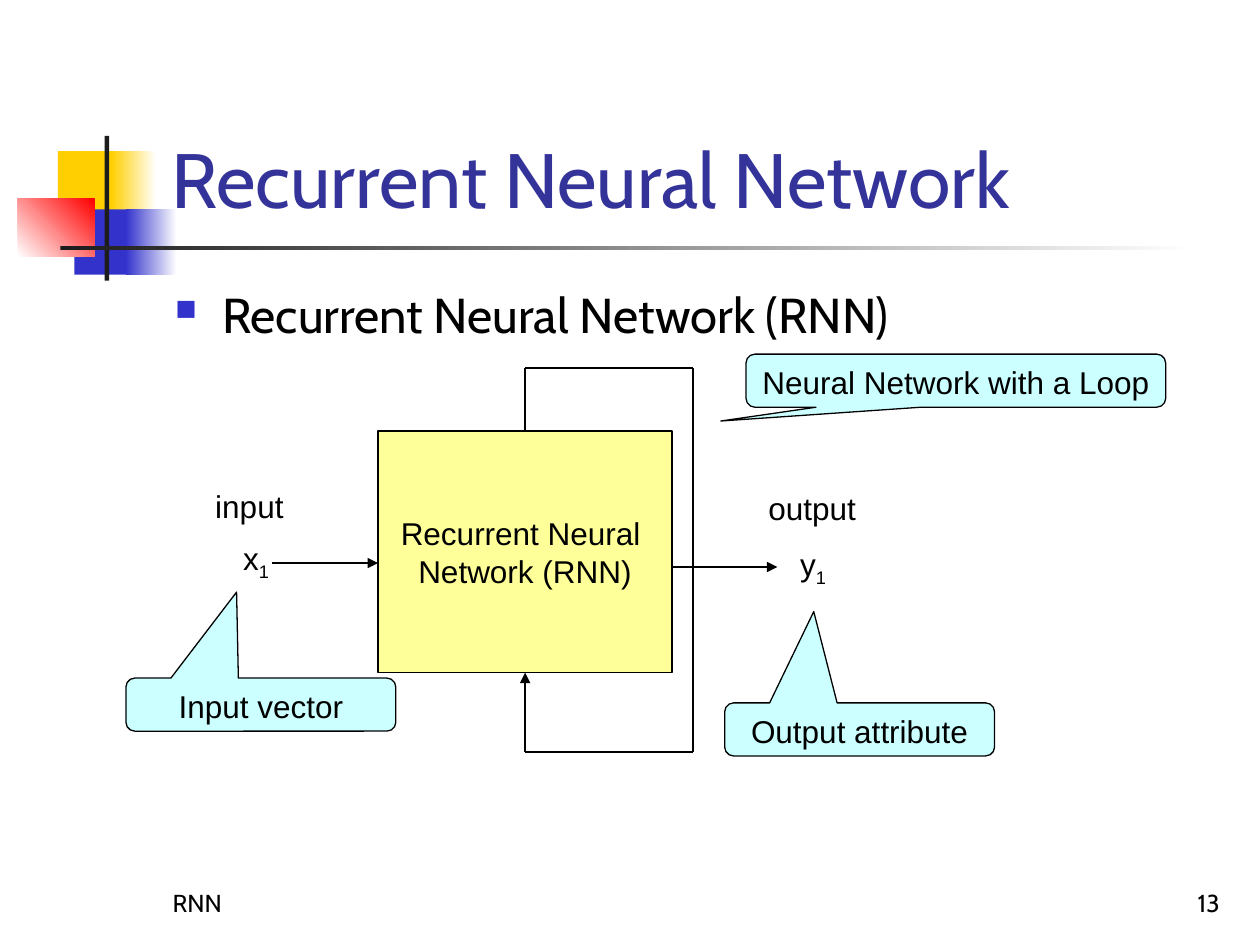
from dataclasses import dataclass
from typing import Optional

from lxml import etree
from pptx import Presentation
from pptx.dml.color import RGBColor
from pptx.enum.shapes import MSO_CONNECTOR, MSO_SHAPE
from pptx.enum.text import MSO_ANCHOR, MSO_AUTO_SIZE, PP_ALIGN
from pptx.oxml.ns import qn
from pptx.util import Cm, Pt

RECTANGLE = MSO_SHAPE.RECTANGLE
CALLOUT = MSO_SHAPE.ROUNDED_RECTANGULAR_CALLOUT
STRAIGHT = MSO_CONNECTOR.STRAIGHT
TOP, MIDDLE, BOTTOM = MSO_ANCHOR.TOP, MSO_ANCHOR.MIDDLE, MSO_ANCHOR.BOTTOM
LEFT, CENTER, RIGHT = PP_ALIGN.LEFT, PP_ALIGN.CENTER, PP_ALIGN.RIGHT
FIT_SHAPE, NO_FIT = MSO_AUTO_SIZE.SHAPE_TO_FIT_TEXT, MSO_AUTO_SIZE.NONE

BLACK = RGBColor(0x00, 0x00, 0x00)
WHITE = RGBColor(0xFF, 0xFF, 0xFF)
CHARCOAL = RGBColor(0x1C, 0x1C, 0x1C)
GOLD = RGBColor(0xFF, 0xCF, 0x01)
BLUE = RGBColor(0x33, 0x33, 0xCC)
RED = RGBColor(0xFF, 0x00, 0x00)
TITLE_BLUE = RGBColor(0x33, 0x33, 0x99)
PALE_YELLOW = RGBColor(0xFF, 0xFF, 0x99)
PALE_CYAN = RGBColor(0xCC, 0xFF, 0xFF)

THEME_FONT, DIAGRAM_FONT = "Cabin", "Arial"
LINE_WIDTH = Pt(0.75)


@dataclass(frozen=True)
class Area:
    """Place and size in centimetres."""
    left: float
    top: float
    width: float
    height: float

    def lengths(self) -> tuple:
        return Cm(self.left), Cm(self.top), Cm(self.width), Cm(self.height)


@dataclass(frozen=True)
class Ornament:
    area: Area
    start: RGBColor
    end: Optional[RGBColor] = None
    angle: int = 0


@dataclass(frozen=True)
class TextStyle:
    size: int = 18
    font: str = DIAGRAM_FONT
    color: RGBColor = BLACK
    align: PP_ALIGN = LEFT
    anchor: MSO_ANCHOR = TOP
    wrap: bool = True
    fit: MSO_AUTO_SIZE = NO_FIT


@dataclass(frozen=True)
class Label:
    text: str
    area: Area
    style: TextStyle
    subscript: str = ""
    bullet: bool = False


@dataclass(frozen=True)
class Callout:
    text: str
    area: Area
    tip: tuple


TITLE = TextStyle(44, THEME_FONT, TITLE_BLUE, anchor=BOTTOM)
BODY = TextStyle(28, THEME_FONT)
FOOTER = TextStyle(14, THEME_FONT, anchor=BOTTOM)
PAGE_NUMBER = TextStyle(14, THEME_FONT, align=RIGHT, anchor=BOTTOM)
SIGNAL = TextStyle(wrap=False, fit=FIT_SHAPE)
NETWORK = TextStyle(align=CENTER, anchor=MIDDLE, wrap=False)
CALLOUT_TEXT = TextStyle(align=CENTER)

ORNAMENTS = [
    Ornament(Area(1.17, 3.05, 1.22, 1.32), GOLD),
    Ornament(Area(2.24, 3.05, 0.91, 1.32), GOLD, WHITE),
    Ornament(Area(1.5, 4.22, 1.17, 1.32), BLUE),
    Ornament(Area(2.54, 4.22, 1.02, 1.32), BLUE, WHITE),
    Ornament(Area(0.36, 4.01, 1.55, 1.17), WHITE, RED, 45),
    Ornament(Area(2.11, 2.74, 0.09, 2.92), CHARCOAL),
    Ornament(Area(1.22, 4.95, 22.86, 0.09), CHARCOAL, WHITE),
]
LABELS = [
    Label("RNN", Area(3.23, 17.35, 5.28, 1.27), FOOTER),
    Label("13", Area(19.56, 17.35, 5.28, 1.27), PAGE_NUMBER),
    Label("Recurrent Neural Network", Area(3.2, 0.58, 21.64, 4.06), TITLE),
    Label("Recurrent Neural Network (RNN)", Area(3.28, 5.61, 18.72, 11.43), BODY, bullet=True),
    Label("input", Area(4.09, 9.7, 1.88, 1.02), SIGNAL),
    Label("output", Area(15.24, 9.73, 2.29, 1.02), SIGNAL),
    Label("x", Area(4.65, 10.74, 1.07, 1.02), SIGNAL, "1"),
    Label("y", Area(15.88, 10.87, 1.07, 1.02), SIGNAL, "1"),
]
CALLOUTS = [
    Callout("Input vector", Area(2.54, 13.67, 5.44, 1.07), (-0.09, -2.12)),
    Callout("Output attribute", Area(14.61, 14.17, 5.44, 1.07), (-0.17, -2.22)),
    Callout("Neural Network with a Loop", Area(15.04, 7.14, 8.46, 1.07), (-0.56, 0.76)),
]
NETWORK_AREA = Area(7.62, 8.69, 5.93, 4.87)
NETWORK_RIGHT = NETWORK_AREA.left + NETWORK_AREA.width
NETWORK_BOTTOM = NETWORK_AREA.top + NETWORK_AREA.height
SIGNAL_ARROWS = [
    ((5.49, 11.35), (NETWORK_AREA.left, 11.35)),
    ((NETWORK_RIGHT, 11.43), (15.67, 11.43)),
]
LOOP_X, LOOP_RIGHT = NETWORK_AREA.left + NETWORK_AREA.width / 2, 13.97
LOOP_TOP, LOOP_BOTTOM = 7.42, 15.16
LOOP_POINTS = [
    (LOOP_X, NETWORK_AREA.top), (LOOP_X, LOOP_TOP), (LOOP_RIGHT, LOOP_TOP),
    (LOOP_RIGHT, LOOP_BOTTOM), (LOOP_X, LOOP_BOTTOM), (LOOP_X, NETWORK_BOTTOM),
]


def apply_format(target, values: dict) -> None:
    for name, value in values.items():
        setattr(target, name, value)


def add_square_bullet(paragraph) -> None:
    properties = paragraph._p.get_or_add_pPr()
    properties.set("marL", str(Cm(0.95)))
    properties.set("indent", str(Cm(-0.95)))
    color = etree.SubElement(properties, qn("a:buClr"))
    etree.SubElement(color, qn("a:srgbClr"), val=str(BLUE))
    etree.SubElement(properties, qn("a:buSzPct"), val="60000")
    etree.SubElement(properties, qn("a:buChar"), char="■")


def write_text(frame, text: str, style: TextStyle, subscript: str = "", bullet: bool = False) -> None:
    apply_format(frame, {"word_wrap": style.wrap, "auto_size": style.fit,
                         "vertical_anchor": style.anchor})
    paragraph = frame.paragraphs[0]
    paragraph.text = text
    paragraph.alignment = style.align
    if bullet:
        add_square_bullet(paragraph)
    if subscript:
        index = paragraph.add_run()
        index.text = subscript
        index._r.get_or_add_rPr().set("baseline", "-25000")
    for run in paragraph.runs:
        apply_format(run.font, {"size": Pt(style.size), "name": style.font})
        run.font.color.rgb = style.color


def add_label(slide, label: Label) -> None:
    box = slide.shapes.add_textbox(*label.area.lengths())
    write_text(box.text_frame, label.text, label.style, label.subscript, label.bullet)


def add_ornament(slide, ornament: Ornament) -> None:
    shape = slide.shapes.add_shape(RECTANGLE, *ornament.area.lengths())
    shape.shadow.inherit = False
    shape.line.fill.background()
    if ornament.end is None:
        shape.fill.solid()
        shape.fill.fore_color.rgb = ornament.start
        return
    shape.fill.gradient()
    shape.fill.gradient_angle = ornament.angle
    for stop, color in zip(shape.fill.gradient_stops, (ornament.start, ornament.end)):
        stop.color.rgb = color


def add_outlined(slide, preset: MSO_SHAPE, area: Area, fill: RGBColor, text: str, style: TextStyle):
    shape = slide.shapes.add_shape(preset, *area.lengths())
    shape.shadow.inherit = False
    shape.fill.solid()
    shape.fill.fore_color.rgb = fill
    shape.line.color.rgb = BLACK
    shape.line.width = LINE_WIDTH
    write_text(shape.text_frame, text, style)
    return shape


def add_line(slide, start: tuple, end: tuple, arrow: bool = False):
    line = slide.shapes.add_connector(STRAIGHT, *(Cm(value) for value in start + end))
    line.line.color.rgb = BLACK
    line.line.width = LINE_WIDTH
    if arrow:
        etree.SubElement(line.line._get_or_add_ln(), qn("a:tailEnd"), type="triangle")
    etree.SubElement(line._element.spPr, qn("a:effectLst"))
    return line


def main() -> None:
    presentation = Presentation()
    apply_format(presentation, {"slide_width": Cm(25.4), "slide_height": Cm(19.05)})
    slide = presentation.slides.add_slide(presentation.slide_layouts[6])

    # Corner ornament and title rule
    for ornament in ORNAMENTS:
        add_ornament(slide, ornament)

    # Network with its input and output
    network = add_outlined(slide, RECTANGLE, NETWORK_AREA, PALE_YELLOW,
                           "Recurrent Neural \vNetwork (RNN)", NETWORK)
    for start, end in SIGNAL_ARROWS:
        add_line(slide, start, end, arrow=True)

    # Feedback loop from the top of the network to its bottom
    segments = list(zip(LOOP_POINTS, LOOP_POINTS[1:]))
    loop = [add_line(slide, *segment, arrow=segment == segments[-1]) for segment in segments]
    loop[0].begin_connect(network, 0)
    loop[-1].end_connect(network, 2)

    # Title, body, footer and signal names
    for label in LABELS:
        add_label(slide, label)

    # Explanations
    for callout in CALLOUTS:
        shape = add_outlined(slide, CALLOUT, callout.area, PALE_CYAN, callout.text, CALLOUT_TEXT)
        shape.adjustments[0], shape.adjustments[1] = callout.tip

    presentation.save("out.pptx")


if __name__ == "__main__":
    main()
